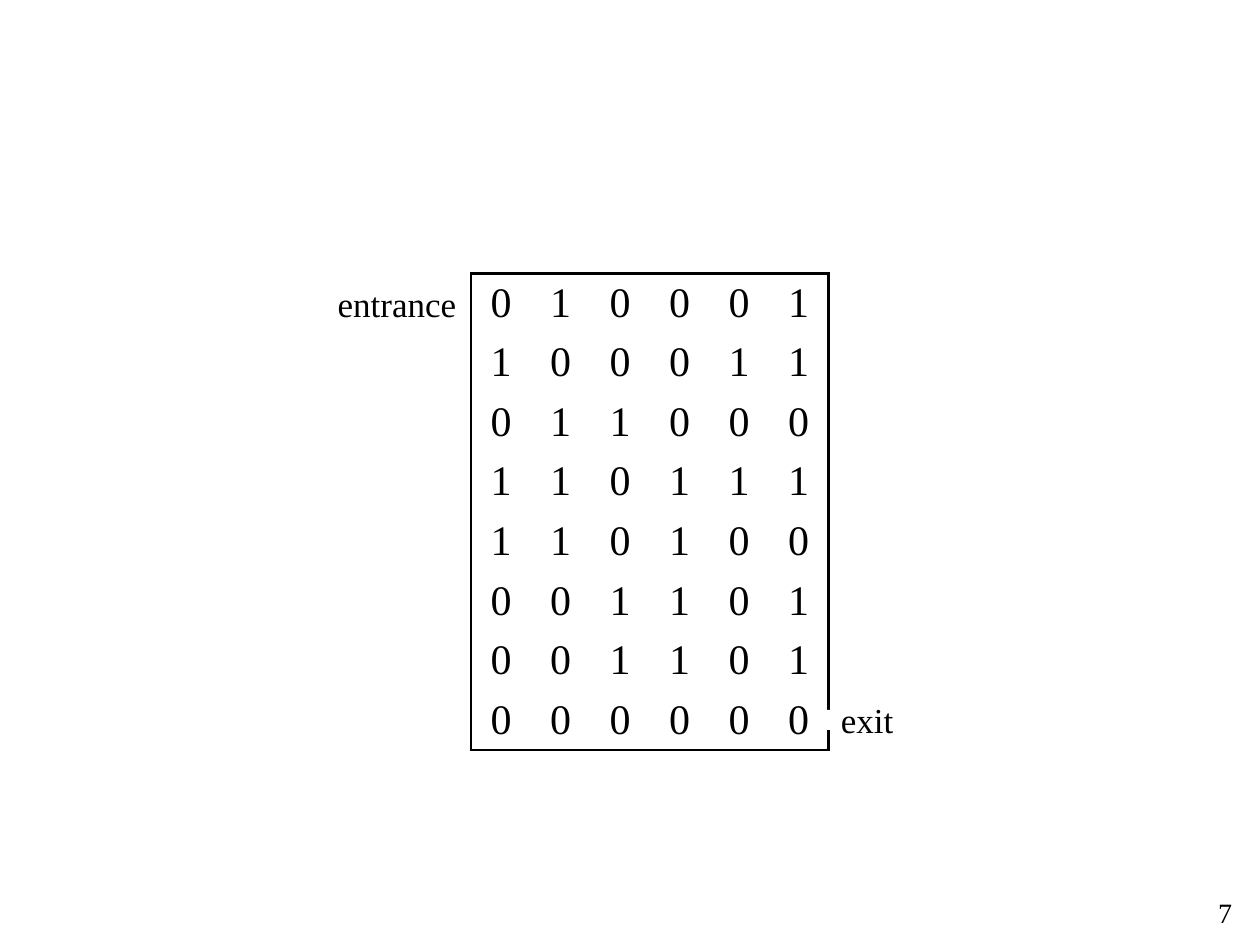
from dataclasses import dataclass

from lxml import etree
from pptx import Presentation, util as u
from pptx.dml.color import RGBColor
from pptx.enum import shapes, text
from pptx.oxml.ns import qn

COLORS = {"ink": "000000", "paper": "FFFFFF"}
FONT = "Times New Roman"
CELL = 0.4725  # side of one maze square, inches
LEFT, TOP = 3.74, 2.17
MAZE = [
    "010001",
    "100011",
    "011000",
    "110111",
    "110100",
    "001101",
    "001101",
    "000000",
]
ROWS, COLS = len(MAZE), len(MAZE[0])


@dataclass
class Label:
    """A line of text; place and size count maze squares from the maze corner."""
    words: str
    col: float
    row: float
    cols: float
    rows: float
    size: int
    align: text.PP_ALIGN
    anchor: text.MSO_ANCHOR = text.MSO_ANCHOR.MIDDLE
    wrap: bool = True


LABELS = [
    Label("7", 11.66, 10.35, 1.33, 0.68, 16, text.PP_ALIGN.RIGHT, text.MSO_ANCHOR.TOP),
    Label("entrance", -2.71, 0, 2.67, 1, 20, text.PP_ALIGN.RIGHT),
    Label("exit", COLS, ROWS - 1, 1.33, 1, 20, text.PP_ALIGN.LEFT, wrap=False),
]


def rgb(name: str) -> RGBColor:
    return RGBColor.from_string(COLORS[name])


def on_grid(col: float, row: float, cols: float, rows: float) -> list:
    inches = (LEFT + col * CELL, TOP + row * CELL, cols * CELL, rows * CELL)
    return [u.Inches(n) for n in inches]


def write(tf, words: str, size: int, align: text.PP_ALIGN) -> None:
    p = tf.paragraphs[0]
    p.text = words
    p.alignment = align
    p.font.name, p.font.size, p.font.bold = FONT, u.Pt(size), False
    p.font.color.rgb = rgb("ink")


def set_borders(cell, walls: dict) -> None:
    """Draw a line on each walled side and clear the others."""
    tc_pr = cell._tc.get_or_add_tcPr()
    for i, (side, walled) in enumerate(walls.items()):
        ln = etree.Element(qn(f"a:ln{side}"), w=str(u.Pt(1.5)))
        if walled:
            fill = etree.SubElement(ln, qn("a:solidFill"))
            etree.SubElement(fill, qn("a:srgbClr"), val=COLORS["ink"])
        else:
            etree.SubElement(ln, qn("a:noFill"))
        tc_pr.insert(i, ln)


def draw_maze(slide) -> None:
    table = slide.shapes.add_table(ROWS, COLS, *on_grid(0, 0, COLS, ROWS)).table
    table.first_row = table.horz_banding = False
    for line in [*table.rows]:
        line.height = u.Inches(CELL)
    for line in [*table.columns]:
        line.width = u.Inches(CELL)
    for r, digits in enumerate(MAZE):
        for c, digit in enumerate(digits):
            cell = table.cell(r, c)
            cell.margin_left = cell.margin_right = u.Inches(0.1)
            cell.margin_top = cell.margin_bottom = u.Inches(0.02)
            cell.vertical_anchor = text.MSO_ANCHOR.MIDDLE
            cell.fill.solid()
            cell.fill.fore_color.rgb = rgb("paper")
            write(cell.text_frame, digit, 24, text.PP_ALIGN.CENTER)
            set_borders(cell, {"L": c == 0, "R": c == COLS - 1,
                               "T": r == 0, "B": r == ROWS - 1})


def draw_gap(slide) -> None:
    """Open the right wall in the middle third of the last row."""
    sp = slide.shapes.add_shape(shapes.MSO_SHAPE.RECTANGLE,
                                *on_grid(COLS - 1 / 3, ROWS - 2 / 3, 2 / 3, 1 / 3))
    sp.shadow.inherit = False
    sp.fill.solid()
    sp.fill.fore_color.rgb = rgb("paper")
    sp.line.fill.background()


def draw_label(slide, label: Label) -> None:
    box = slide.shapes.add_textbox(*on_grid(label.col, label.row, label.cols, label.rows))
    tf = box.text_frame
    tf.word_wrap = label.wrap
    tf.vertical_anchor = label.anchor
    write(tf, label.words, label.size, label.align)


def main() -> None:
    prs = Presentation()
    prs.slide_width, prs.slide_height = u.Inches(10), u.Inches(7.5)
    slide = prs.slides.add_slide(prs.slide_layouts[6])
    number, *doors = LABELS

    # Page number, maze, exit gap, door names
    draw_label(slide, number)
    draw_maze(slide)
    draw_gap(slide)
    for door in doors:
        draw_label(slide, door)
    prs.save("out.pptx")


if __name__ == "__main__":
    main()
